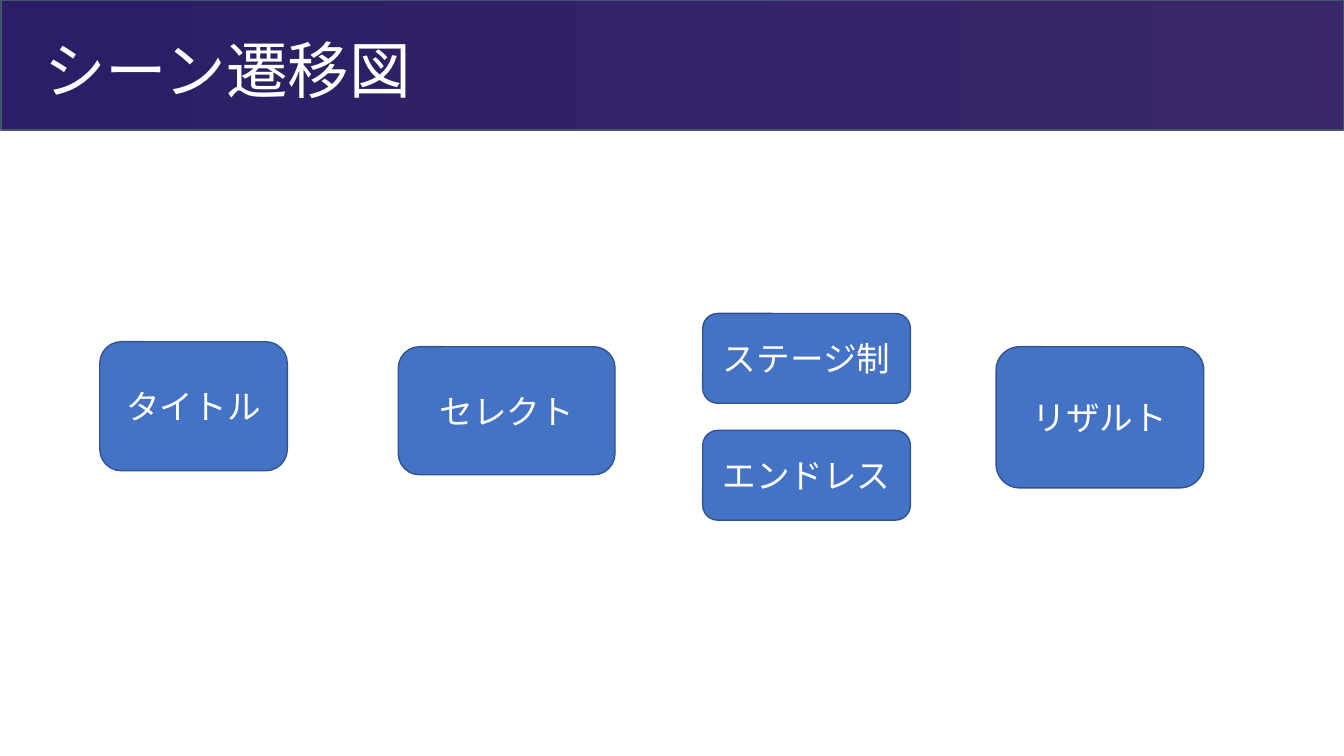
import pptx
import pptx.util
import pptx.dml.color
import pptx.enum.shapes
import pptx.enum.text

Inches, Pt = pptx.util.Inches, pptx.util.Pt
RGBColor = pptx.dml.color.RGBColor
SHAPE = pptx.enum.shapes.MSO_SHAPE
ALIGN = pptx.enum.text.PP_ALIGN
MIDDLE = pptx.enum.text.MSO_ANCHOR.MIDDLE

TITLE = "シーン遷移図"
# Each column: left, width, top of its first scene, scene height, scenes
COLUMNS = [
    (0.99, 1.86, 3.39, 1.28, ["タイトル"]),
    (3.95, 2.15, 3.44, 1.27, ["セレクト"]),
    (6.97, 2.06, 3.11, 0.89, ["ステージ制", "エンドレス"]),
    (9.88, 2.06, 3.44, 1.40, ["リザルト"]),
]
ROW_GAP = 0.27

WHITE = RGBColor(0xFF, 0xFF, 0xFF)
BLUE = RGBColor(0x44, 0x72, 0xC4)
BLUE_EDGE = RGBColor(0x31, 0x53, 0x8F)
BANNER_EDGE = RGBColor(0x44, 0x54, 0x6A)
BANNER_COLORS = [RGBColor(0x2C, 0x1E, 0x66), RGBColor(0x39, 0x27, 0x67)]


def add_box(s, kind, box, edge, weight):
    sp = s.shapes.add_shape(kind, *map(Inches, box))
    sp.shadow.inherit = False
    sp.line.color.rgb = edge
    sp.line.width = Pt(weight)
    return sp


def write(sp, text, size, align):
    tf = sp.text_frame
    tf.word_wrap = True
    tf.vertical_anchor = MIDDLE
    p = tf.paragraphs[0]
    p.alignment = align
    r = p.add_run()
    r.text = text
    for name, value in {"name": "Arial", "size": Pt(size)}.items():
        setattr(r.font, name, value)
    r.font.color.rgb = WHITE
    return p


def add_banner(s):
    banner = add_box(s, SHAPE.RECTANGLE, (0.01, 0, 13.32, 1.29), BANNER_EDGE, 0.75)
    banner.fill.gradient()
    banner.fill.gradient_angle = 0
    for stop, position, color in zip(banner.fill.gradient_stops, (0, 1), BANNER_COLORS):
        stop.position = position
        stop.color.rgb = color
    title = s.shapes.title
    title.element.addprevious(banner.element)
    title.left, title.top, title.width, title.height = map(Inches, (0, 0, 11.5, 1.45))
    title.text_frame.margin_left = Inches(0.44)
    write(title, TITLE, 44, ALIGN.LEFT).line_spacing = 0.9


def add_scenes(s):
    for left, width, top, height, scenes in COLUMNS:
        for row, scene in enumerate(scenes):
            y = top + row * (height + ROW_GAP)
            sp = add_box(s, SHAPE.ROUNDED_RECTANGLE, (left, y, width, height), BLUE_EDGE, 1)
            sp.fill.solid()
            sp.fill.fore_color.rgb = BLUE
            write(sp, scene, 24, ALIGN.CENTER)


def main():
    prs = pptx.Presentation()
    prs.slide_width, prs.slide_height = Inches(13.33), Inches(7.5)
    s = prs.slides.add_slide(prs.slide_layouts.get_by_name("Title Only"))
    add_banner(s)
    add_scenes(s)
    prs.save("out.pptx")


if __name__ == "__main__":
    main()
